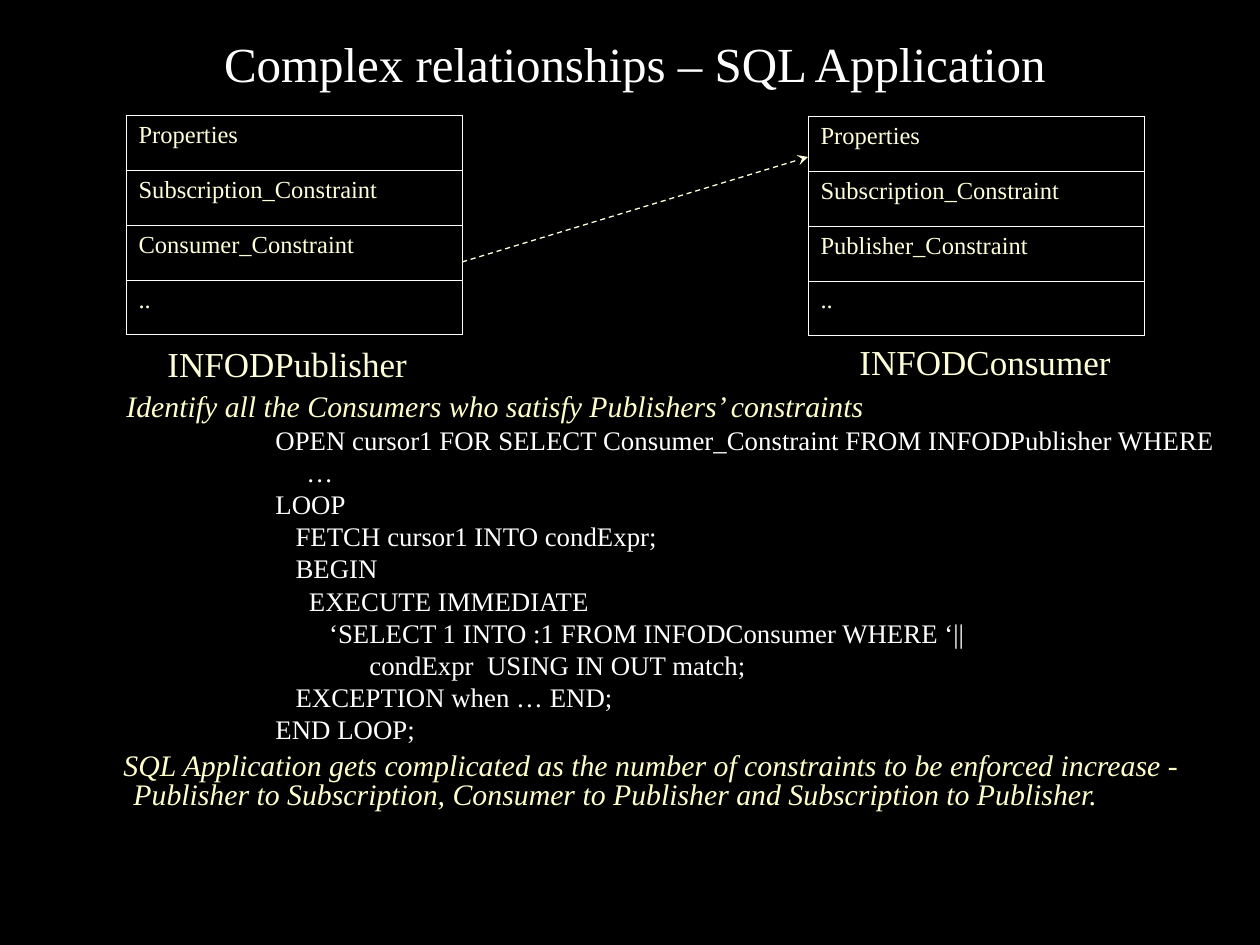
from dataclasses import dataclass

from lxml.etree import SubElement
from pptx import Presentation
from pptx.dml.color import RGBColor
from pptx.enum.dml import MSO_LINE_DASH_STYLE as Dash
from pptx.enum.shapes import MSO_CONNECTOR as Conn
from pptx.enum.text import MSO_ANCHOR as Anchor, MSO_AUTO_SIZE as AutoSize, PP_ALIGN as Align
from pptx.oxml.ns import qn
from pptx.util import Emu, Pt

FONT = "Times New Roman"
COLORS = {"bg": "000000", "white": "FFFFFF", "ivory": "FFFFD9", "cream": "FFFFCC"}
ROW_H = 55
TABLE_W = 336


@dataclass(frozen=True)
class Style:
    size: float
    color: str
    italic: bool = False
    margin: int = 0
    indent: int = 0
    line: float | None = None
    before: float = 0
    level: int = 0


@dataclass(frozen=True)
class Entity:
    x: int
    y: int
    rows: tuple[str, ...]


@dataclass(frozen=True)
class Box:
    x: int
    y: int
    w: int
    h: int
    style: Style
    text: str
    wrap: bool = False
    align: Align = Align.LEFT
    anchor: Anchor = Anchor.TOP


TITLE = Style(28, "white")
LABEL = Style(20, "ivory")
FIELD = Style(14, "ivory")
LEAD = Style(17, "cream", italic=True, margin=41, line=16.6)
CODE = Style(15.3, "white", margin=221, indent=-31, line=18.4, level=3)
CLOSING = Style(17, "cream", italic=True, margin=48, indent=-10, line=16.6, before=4.5)

ENTITIES = (
    Entity(126, 115, ("Properties", "Subscription_Constraint", "Consumer_Constraint", "..")),
    Entity(808, 116, ("Properties", "Subscription_Constraint", "Publisher_Constraint", "..")),
)

BOXES = (
    Box(73, 21, 1124, 84, TITLE, "Complex relationships – SQL Application",
        wrap=True, align=Align.CENTER, anchor=Anchor.MIDDLE),
    Box(155, 336, 269, 55, LABEL, "INFODPublisher"),
    Box(847, 334, 281, 55, LABEL, "INFODConsumer"),
)

CODE_LINES = (
    "OPEN cursor1 FOR SELECT Consumer_Constraint FROM INFODPublisher WHERE …",
    "LOOP",
    "   FETCH cursor1 INTO condExpr;",
    "   BEGIN",
    "     EXECUTE IMMEDIATE",
    "        ‘SELECT 1 INTO :1 FROM INFODConsumer WHERE ‘||",
    "              condExpr  USING IN OUT match;",
    "   EXCEPTION when … END;",
    "END LOOP;",
)

BODY = (
    (LEAD, "Identify all the Consumers who satisfy Publishers’ constraints"),
    *((CODE, line) for line in CODE_LINES),
    (CLOSING, "SQL Application gets complicated as the number of constraints to be enforced "
              "increase - Publisher to Subscription, Consumer to Publisher and "
              "Subscription to Publisher."),
)


def px(n: int) -> Emu:
    return Emu(round(n * 914400 / 126))


def rgb(name: str) -> RGBColor:
    return RGBColor.from_string(COLORS[name])


def write(p, text: str, style: Style) -> None:
    p.level = style.level
    pPr = p._p.get_or_add_pPr()
    pPr.set("marL", str(px(style.margin)))
    pPr.set("indent", str(px(style.indent)))
    p.space_before = Pt(style.before)
    if style.line:
        p.line_spacing = Pt(style.line)
    r = p.add_run()
    r.text = text
    r.font.name = FONT
    r.font.size = Pt(style.size)
    r.font.italic = style.italic
    r.font.color.rgb = rgb(style.color)


def add_box(s, box: Box) -> None:
    sp = s.shapes.add_textbox(px(box.x), px(box.y), px(box.w), px(box.h))
    tf = sp.text_frame
    tf.word_wrap = box.wrap
    tf.auto_size = AutoSize.NONE if box.wrap else AutoSize.SHAPE_TO_FIT_TEXT
    tf.vertical_anchor = box.anchor
    p = tf.paragraphs[0]
    p.alignment = box.align
    write(p, box.text, box.style)


def add_borders(cell) -> None:
    tcPr = cell._tc.get_or_add_tcPr()
    for side in ("lnL", "lnR", "lnT", "lnB"):
        ln = SubElement(tcPr, qn(f"a:{side}"), w=str(Pt(0.45)))
        fill = SubElement(ln, qn("a:solidFill"))
        SubElement(fill, qn("a:srgbClr"), val=COLORS["white"])


def add_entity(s, entity: Entity) -> None:
    n = len(entity.rows)
    table = s.shapes.add_table(
        n, 1, px(entity.x), px(entity.y), px(TABLE_W), px(n * ROW_H)).table
    table.first_row = False
    table.horz_banding = False
    table.columns[0].width = px(TABLE_W)
    for i, text in enumerate(entity.rows):
        table.rows[i].height = px(ROW_H)
        cell = table.cell(i, 0)
        add_borders(cell)
        cell.fill.background()
        write(cell.text_frame.paragraphs[0], text, FIELD)


def add_arrow(s, x1: int, y1: int, x2: int, y2: int) -> None:
    arrow = s.shapes.add_connector(Conn.STRAIGHT, px(x1), px(y1), px(x2), px(y2))
    arrow.line.color.rgb = rgb("ivory")
    arrow.line.width = Pt(0.75)
    arrow.line.dash_style = Dash.DASH
    SubElement(arrow.line._get_or_add_ln(), qn("a:tailEnd"), type="stealth")
    SubElement(arrow._element.spPr, qn("a:effectLst"))


def add_body(s) -> None:
    tf = s.shapes.add_textbox(px(73), px(388), px(1155), px(451)).text_frame
    tf.word_wrap = True
    for i, (style, text) in enumerate(BODY):
        p = tf.add_paragraph() if i else tf.paragraphs[0]
        write(p, text, style)


def main() -> None:
    prs = Presentation()
    prs.slide_width, prs.slide_height = px(1260), px(945)
    s = prs.slides.add_slide(prs.slide_layouts[6])
    s.background.fill.solid()
    s.background.fill.fore_color.rgb = rgb("bg")
    for box in BOXES:
        add_box(s, box)
    for entity in ENTITIES:
        add_entity(s, entity)
    add_arrow(s, 462, 262, 808, 157)
    add_body(s)
    prs.save("out.pptx")


if __name__ == "__main__":
    main()
